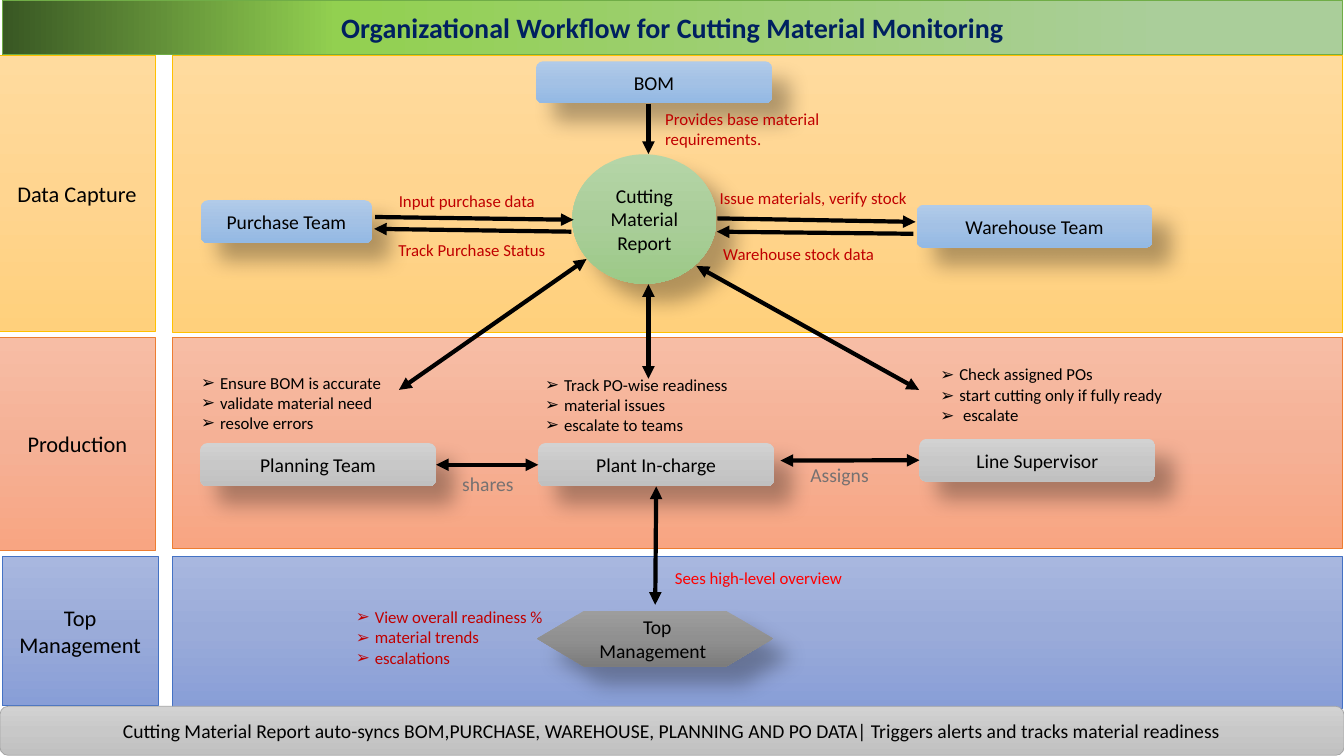
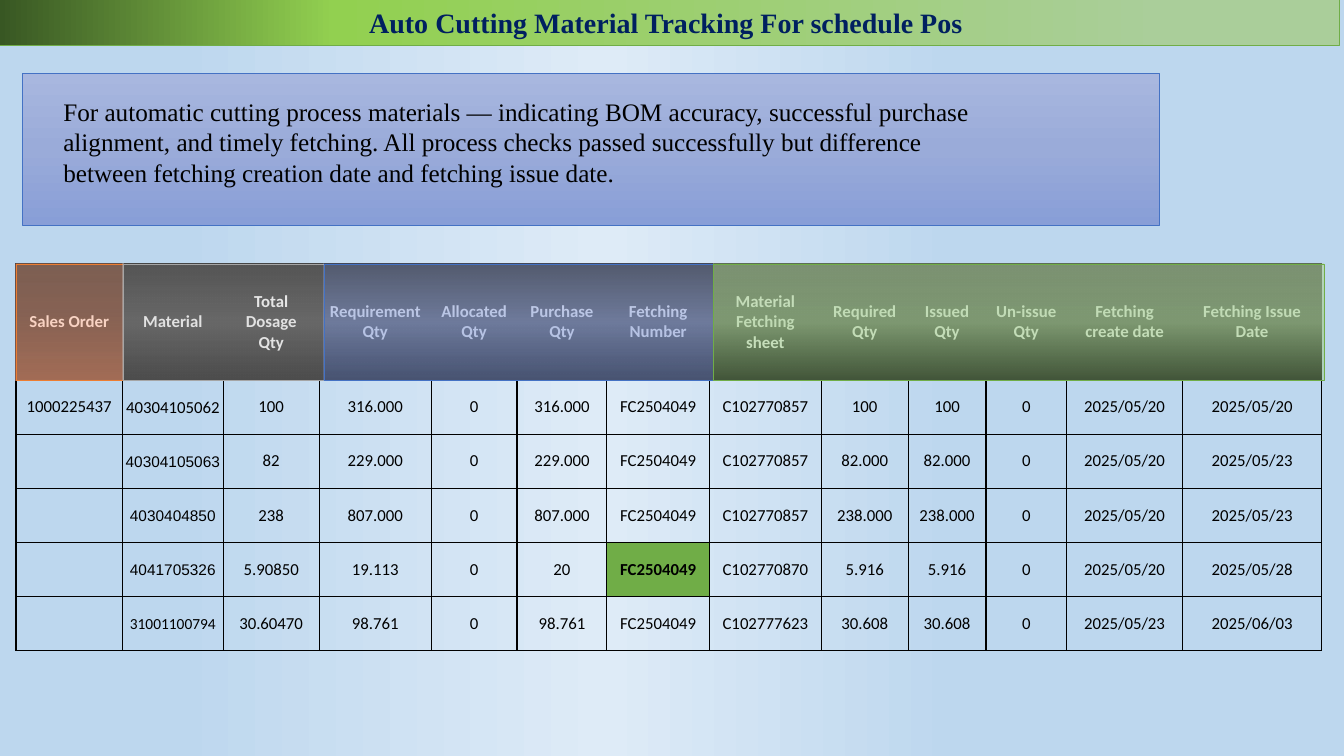
from dataclasses import dataclass
from typing import NamedTuple, Optional

from lxml.etree import SubElement as Sub
from pptx import Presentation
from pptx.dml.color import RGBColor as RGB
from pptx.enum.shapes import MSO_CONNECTOR as Link, MSO_SHAPE as Form
from pptx.enum.text import MSO_ANCHOR as Anchor, MSO_AUTO_SIZE as Fit, PP_ALIGN as Align
from pptx.oxml.ns import qn
from pptx.util import Pt

HUE = {
    "black": "000000", "navy": "002060", "wine": "C00000", "red": "FF0000", "dim": "767171",
    "white": "FFFFFF", "mark": "70AD47",
    "gold": "FFDB9E FFD590 FFD07C", "gold edge": "FFC000",
    "coral": "F7BDA5 F5B196 F8A582", "coral edge": "ED7D31",
    "blue": "A8B7DF 9AABD9 889ED7", "blue edge": "4472C4",
    "green": "B5D5A7 AACE9A 9CC987", "green edge": "70AD47",
    "grey": "D2D2D2 C8C8C8 C0C0C0", "grey edge": "A5A5A5",
    "sky": "B1CBE9 A3C1E5 93B9E4", "steel": "9D9D9D 909090 7C7C7C",
    "banner": "AACE9A 92D050 385723", "banner edge": "70AD47",
    "page": "BDD7EE DEEBF7 BDD7EE",
}
SANS, SERIF = "Calibri", "Times New Roman"


class Box(NamedTuple):
    x: float
    y: float
    w: float
    h: float


class Band(NamedTuple):
    text: str
    tone: str
    left: float
    top: float
    tall: float
    deep: float


@dataclass
class Node:
    text: str
    tone: str
    box: Box
    form: Form = Form.ROUNDED_RECTANGLE


@dataclass
class Arrow:
    start: tuple
    end: tuple
    both: bool = False
    tail: Optional[tuple] = None
    head: Optional[tuple] = None


class Note(NamedTuple):
    text: str
    box: Box
    hue: str = "wine"
    size: float = 12


class Group(NamedTuple):
    tone: str
    wide: float
    clear: tuple


BANDS = [
    Band("Data Capture", "gold", -0.8, 39.2, 197.6, 197.9),
    Band("Production", "coral", -0.5, 241, 152, 150.5),
    Band("Top\nManagement", "blue", 1.5, 397.5, 106.5, 108.5),
]
NODES = {
    "report": Node("Cutting Material Report", "green", Box(408.8, 110.2, 103, 92.5), Form.OVAL),
    "buy": Node("Purchase Team", "sky", Box(143.5, 143, 122.2, 30.7)),
    "store": Node("Warehouse Team", "sky", Box(654.8, 146.2, 168.5, 30.7)),
    "bom": Node("BOM", "sky", Box(383, 43.8, 168.5, 30)),
    "plan": Node("Planning Team", "grey", Box(143, 316.5, 168.5, 31)),
    "plant": Node("Plant In-charge", "grey", Box(384.5, 316.5, 168.5, 31)),
    "line": Node("Line Supervisor", "grey", Box(656.8, 313.5, 168.5, 30.5)),
    "top": Node(" Top Management ", "steel", Box(383.7, 436.2, 168.5, 40),
                Form.FLOWCHART_PREPARATION),
}
ARROWS = [
    Arrow((463.2, 203), (463.2, 270.5), True),
    Arrow((468, 348), (468, 432), True, ("plant", 2)),
    Arrow((419, 185), (285, 278.5), True),
    Arrow((497.5, 190), (656.5, 278.5), True),
    Arrow((557.5, 329), (656, 329), True, None, ("line", 1)),
    Arrow((312, 332), (384, 332), True, ("plan", 3), ("plant", 1)),
    Arrow((463.2, 74), (463.2, 110)),
    Arrow((268, 155), (409.7, 157)),
    Arrow((408.2, 165.5), (267.2, 163.5)),
    Arrow((512.5, 156), (654, 158.5)),
    Arrow((652.5, 167), (512, 165.5)),
]
NOTES = [
    Note("Issue materials, verify stock", Box(507, 130.5, 160, 21.5)),
    Note("Track Purchase Status", Box(277.5, 168, 129, 21.5)),
    Note("Input purchase data", Box(277.8, 132.5, 125, 21.5)),
    Note("Warehouse stock data", Box(509.5, 170.5, 135, 21.5)),
    Note("Provides base material requirements.", Box(468, 74, 137, 36)),
    Note("Sees high-level overview", Box(475, 402.2, 206, 21.5), "red"),
    Note("Assigns", Box(571.7, 327, 70, 24.5), "dim", 14),
    Note("shares", Box(323, 333.5, 65, 24.5), "dim", 14),
]
LISTS = [
    Note("Ensure BOM is accurate\nvalidate material need\nresolve errors",
         Box(136.5, 262.7, 148.5, 51), "black"),
    Note("Track PO-wise readiness\nmaterial issues\nescalate to teams",
         Box(382.2, 264, 217.5, 51), "black"),
    Note("View overall readiness %\nmaterial trends\nescalations", Box(247, 430, 163.5, 51)),
]
CHECKS = Note("Check assigned POs\nstart cutting only if fully ready\n escalate",
              Box(664.5, 248.5, 241.2, 67.7), "black")
GROUPS = [
    Group("coral", 76.5, (50, 56, 66)),
    Group("grey", 143.5, (40, 52, 39)),
    Group("blue", 278.5, (49, 72, 52)),
    Group("green", 435.8, (68, 74, 42)),
]
HEADS = ("Sales Order|Material|Total Dosage Qty|Requirement \nQty|Allocated Qty|Purchase Qty|"
         "Fetching Number|Material Fetching sheet|Required Qty|Issued Qty|Un-issue Qty|"
         "Fetching create date|Fetching Issue Date")
ROWS = [
    "1000225437|40304105062|100|316.000|0|316.000|FC2504049|C102770857|100|100|0|2025/05/20|2025/05/20",
    "|40304105063|82|229.000|0|229.000|FC2504049|C102770857|82.000|82.000|0|2025/05/20|2025/05/23",
    "|4030404850|238|807.000|0|807.000|FC2504049|C102770857|238.000|238.000|0|2025/05/20|2025/05/23",
    "|4041705326|5.90850|19.113|0|20|FC2504049|C102770870|5.916|5.916|0|2025/05/20|2025/05/28",
    "|31001100794|30.60470|98.761|0|98.761|FC2504049|C102777623|30.608|30.608|0|2025/05/23|2025/06/03",
]
COLS = [76.2, 71.8, 68.7, 80, 61.3, 64.2, 73.2, 80, 62, 55.6, 57.6, 82.8, 99.4]
CODES = {1: (12, SANS), 2: (11, "Arial"), 3: (11, "Arial"), 4: (11, "Arial"), 5: (11, SANS)}
HIGH = [83] + [38.65] * 5
GRID = Box(11.4, 188.5, sum(COLS), sum(HIGH))


def write(frame, text: str, *, size: float = 14, hue: str = "black", bold: bool = False,
          face: str = SANS, align=Align.LEFT, anchor=Anchor.TOP, mark: str = "") -> None:
    frame.word_wrap = True
    frame.vertical_anchor = anchor
    for n, part in enumerate(text.split("\n")):
        para = frame.add_paragraph() if n else frame.paragraphs[0]
        para.alignment = align
        para.space_before = Pt(0)
        prop = para._p.get_or_add_pPr()
        step = Pt(13.5) if mark else 0
        prop.set("marL", str(step))
        prop.set("indent", str(-step))
        if mark:
            Sub(prop, qn("a:buFont")).set("typeface", "Arial")
            Sub(prop, qn("a:buChar")).set("char", mark)
        else:
            Sub(prop, qn("a:buNone"))
        run = para.add_run()
        run.text = part
        run.font.size, run.font.bold, run.font.name = Pt(size), bold, face
        run.font.color.rgb = RGB.from_string(HUE[hue])


def fade(host, tone: str, spots=(0, 50, 100), turn: int = 90, clear=(100, 100, 100)) -> None:
    old = host.find(qn("a:solidFill"))
    grad = host.makeelement(qn("a:gradFill"), {"rotWithShape": "1"})
    host.replace(old, grad)
    stops = Sub(grad, qn("a:gsLst"))
    for spot, shade, part in zip(spots, HUE[tone].split(), clear):
        stop = Sub(stops, qn("a:gs"), pos=str(spot * 1000))
        tint = Sub(stop, qn("a:srgbClr"), val=shade)
        if part < 100:
            Sub(tint, qn("a:alpha"), val=str(part * 1000))
    Sub(grad, qn("a:lin"), ang=str(turn * 60000), scaled="0")


def place(shape, box: Box) -> None:
    shape.left, shape.top, shape.width, shape.height = map(Pt, box)


def dress(shape, tone: str, edge: bool = True, **look) -> None:
    shape.fill.solid()
    fade(shape.element.spPr, tone, **look)
    shape.shadow.inherit = False
    if edge:
        shape.line.color.rgb = RGB.from_string(HUE[tone + " edge"])
        shape.line.width = Pt(0.5)
    else:
        shape.line.fill.background()


def block(slide, box: Box, tone: str, text: str = "", *, form=Form.RECTANGLE,
          edge: bool = True, size: float = 14, **look):
    shape = slide.shapes.add_shape(form, *map(Pt, box))
    dress(shape, tone, edge, **look)
    if text:
        write(shape.text_frame, text, size=size, align=Align.CENTER, anchor=Anchor.MIDDLE)
    return shape


def lift(shape) -> None:
    glow = Sub(shape.element.spPr.find(qn("a:effectLst")), qn("a:outerShdw"),
               blurRad=str(Pt(15)), dist=str(Pt(18)), dir=str(45 * 60000),
               algn="tl", rotWithShape="0")
    Sub(Sub(glow, qn("a:srgbClr"), val=HUE["black"]), qn("a:alpha"), val="30000")


def head(slide, text: str, box: Box, face: str) -> None:
    title = slide.shapes.title
    place(title, box)
    dress(title, "banner", spots=(13, 75, 100), turn=180)
    title.text_frame.auto_size = Fit.NONE
    write(title.text_frame, text, size=20, hue="navy", bold=True, face=face,
          align=Align.CENTER, anchor=Anchor.MIDDLE)


def body(slide, slot, note: Note, **look) -> None:
    place(slot, note.box)
    slot.text_frame.auto_size = Fit.NONE
    write(slot.text_frame, note.text, size=note.size, hue=note.hue, **look)
    slide.shapes.element.append(slot.element)


def join(slide, arrow: Arrow, made: dict) -> None:
    line = slide.shapes.add_connector(Link.STRAIGHT, *map(Pt, arrow.start + arrow.end))
    if arrow.tail:
        line.begin_connect(made[arrow.tail[0]], arrow.tail[1])
    if arrow.head:
        line.end_connect(made[arrow.head[0]], arrow.head[1])
    line.line.color.rgb = RGB.from_string(HUE["black"])
    line.line.width = Pt(3)
    stroke = line.line._get_or_add_ln()
    if arrow.both:
        Sub(stroke, qn("a:headEnd"), type="triangle")
    Sub(stroke, qn("a:tailEnd"), type="triangle")
    Sub(line.element.spPr, qn("a:effectLst"))


def sheet(slide, box: Box, cols: list, rows: list, hue: str = ""):
    table = slide.shapes.add_table(len(rows), len(cols), *map(Pt, box)).table
    table.first_row = table.horz_banding = False
    for col, wide in zip(table.columns, cols):
        col.width = Pt(wide)
    for row, high in zip(table.rows, rows):
        row.height = Pt(high)
    for cell in table.iter_cells():
        prop = cell._tc.get_or_add_tcPr()
        for side in ("lnL", "lnR", "lnT", "lnB"):
            edge = Sub(prop, qn("a:" + side), w=str(Pt(1)))
            if hue:
                Sub(Sub(edge, qn("a:solidFill")), qn("a:srgbClr"), val=HUE[hue])
            else:
                Sub(edge, qn("a:noFill"))
        cell.fill.background()
        cell.vertical_anchor = Anchor.MIDDLE
    return table


def grid(slide) -> None:
    table = sheet(slide, GRID, COLS, HIGH, "black")
    for r, line in enumerate([HEADS, *ROWS]):
        for c, text in enumerate(line.split("|")):
            cell = table.cell(r, c)
            key = (r, c) == (4, 6)
            if key or not r:
                cell.fill.solid()
                cell.fill.fore_color.rgb = RGB.from_string(HUE["mark" if key else "black"])
            size, face = 12, SANS
            if r and c == 1:
                size, face = CODES[r]
                cell.margin_left = cell.margin_right = cell.margin_top = Pt(0.7)
                cell.margin_bottom = 0
            if text:
                write(cell.text_frame, text, size=size, face=face, bold=key or not r,
                      hue="black" if r else "white", align=Align.CENTER, anchor=Anchor.MIDDLE)


def flow(deck) -> None:
    slide = deck.slides.add_slide(deck.slide_layouts[4])
    *slots, spare = list(slide.placeholders)[1:]
    slide.shapes.element.remove(spare.element)
    head(slide, "Organizational Workflow for Cutting Material Monitoring",
         Box(1.5, 0, 957.5, 39), SANS)
    for band in BANDS:
        block(slide, Box(band.left, band.top, 111.5, band.tall), band.tone, band.text, size=16)
        block(slide, Box(123, band.top, 836, band.deep), band.tone)
    made = {}
    for name, node in NODES.items():
        made[name] = block(slide, node.box, node.tone, node.text, form=node.form, edge=False)
        lift(made[name])
    for arrow in ARROWS:
        join(slide, arrow, made)
    for note in NOTES:
        area = slide.shapes.add_textbox(*map(Pt, note.box))
        write(area.text_frame, note.text, size=note.size, hue=note.hue)
    for slot, note in zip(slots, LISTS):
        body(slide, slot, note, mark="➢")
    table = sheet(slide, CHECKS.box, [CHECKS.box.w], [CHECKS.box.h])
    write(table.cell(0, 0).text_frame, CHECKS.text, size=CHECKS.size, hue=CHECKS.hue,
          anchor=Anchor.MIDDLE, mark="➢")
    block(slide, Box(0, 504.5, 960, 35), "grey",
          "Cutting Material Report auto-syncs BOM,PURCHASE, WAREHOUSE, PLANNING AND PO DATA| "
          "Triggers alerts and tracks material readiness", form=Form.ROUNDED_RECTANGLE)


def track(deck) -> None:
    slide = deck.slides.add_slide(deck.slide_layouts[1])
    slide.background.fill.solid()
    fade(slide.element.find(".//" + qn("p:bgPr")), "page", spots=(29, 55, 87), turn=180)
    head(slide, "Auto Cutting Material Tracking For schedule Pos ",
         Box(-0.5, -0.5, 957.5, 33), SERIF)
    block(slide, Box(16.2, 52.5, 812.3, 108.3), "blue")
    text = ("For automatic cutting process materials — indicating BOM accuracy, successful "
            "purchase alignment, and timely fetching. All process checks passed successfully "
            "but difference between fetching creation date and fetching issue date.")
    body(slide, slide.placeholders[1], Note(text, Box(38, 65.3, 690.5, 72.5), "black", 18),
         face=SERIF)
    grid(slide)
    left = GRID.x
    for group in GROUPS:
        block(slide, Box(left, GRID.y, group.wide, 83), group.tone, clear=group.clear)
        left += group.wide


def main() -> None:
    deck = Presentation()
    deck.slide_width, deck.slide_height = Pt(960), Pt(540)
    flow(deck)
    track(deck)
    deck.save("out.pptx")


if __name__ == "__main__":
    main()
